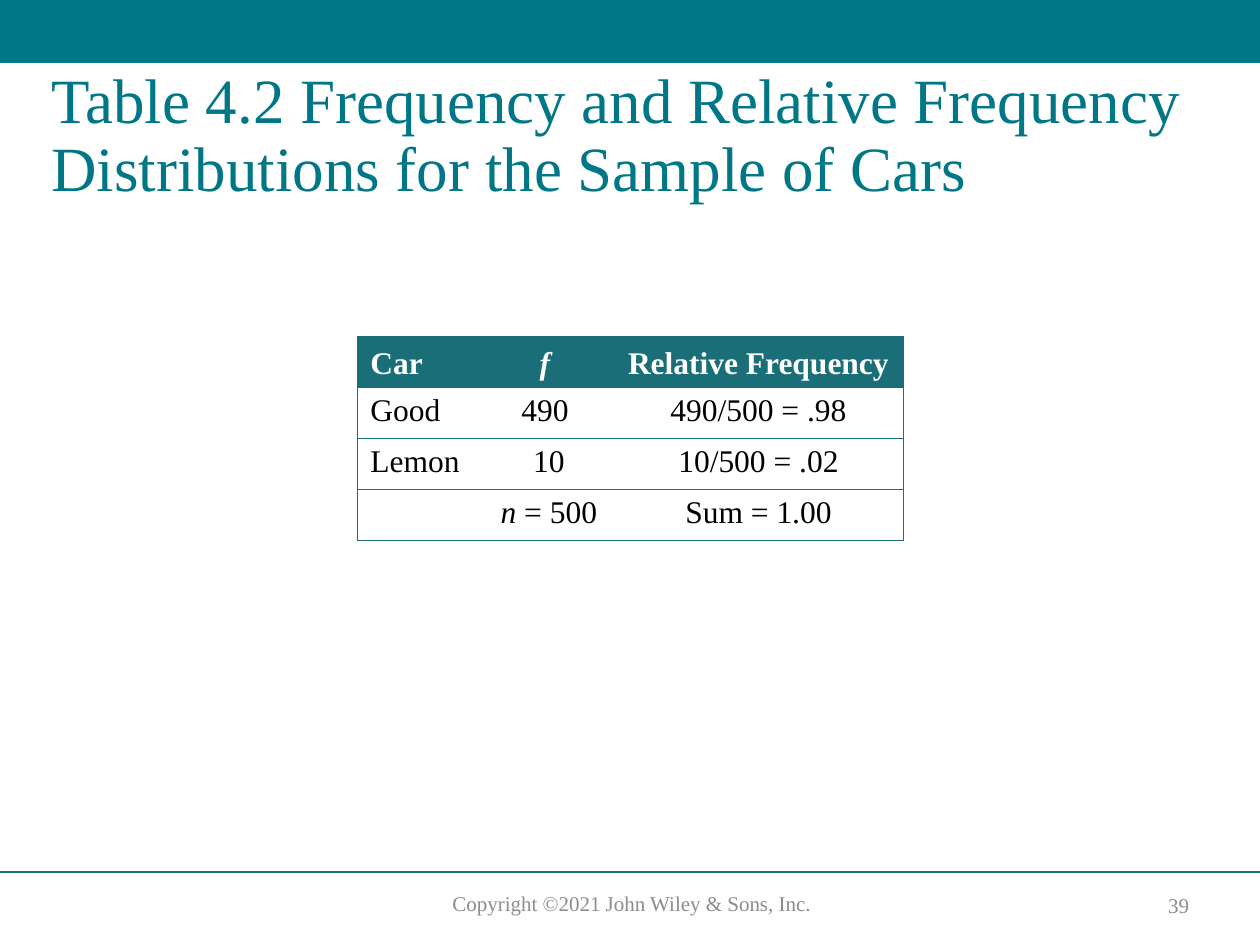
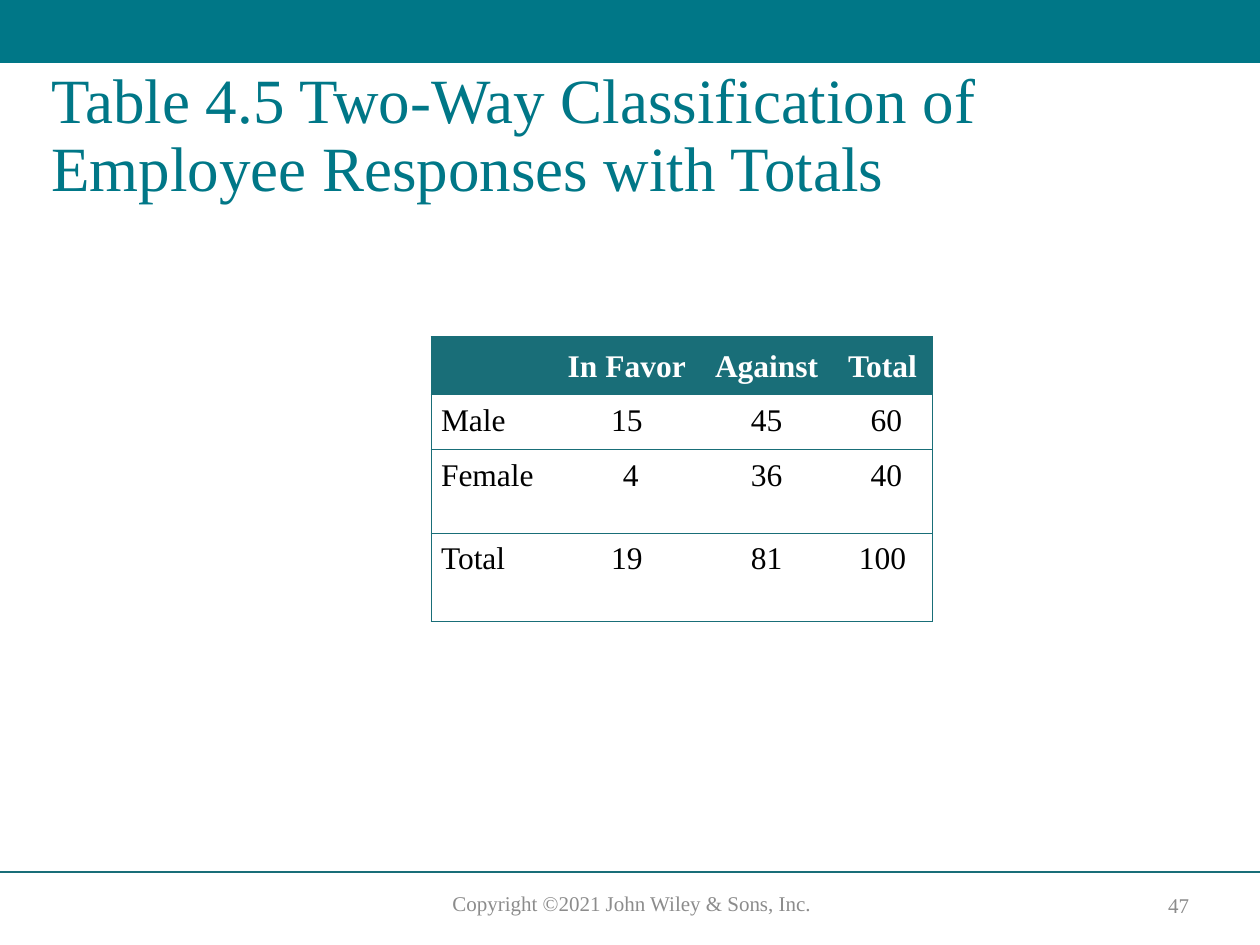
from dataclasses import dataclass

from lxml import etree
from pptx import Presentation
from pptx.dml.color import RGBColor
from pptx.enum.shapes import MSO_CONNECTOR, MSO_SHAPE
from pptx.enum.text import MSO_ANCHOR, PP_ALIGN
from pptx.oxml.ns import qn
from pptx.util import Inches, Pt

LEFT, CENTER = PP_ALIGN.LEFT, PP_ALIGN.CENTER
TOP, MIDDLE, BOTTOM = MSO_ANCHOR.TOP, MSO_ANCHOR.MIDDLE, MSO_ANCHOR.BOTTOM
RECTANGLE, STRAIGHT = MSO_SHAPE.RECTANGLE, MSO_CONNECTOR.STRAIGHT

WIDTH, HEIGHT = 10, 7.5
COPYRIGHT = "Copyright ©2021 John Wiley & Sons, Inc."
ITALIC = {"f", " n "}

SLIDES = [
    {
        "number": "39",
        "title": "Table 4.2 Frequency and Relative Frequency Distributions for the Sample of Cars",
        "left": 2.84,
        "columns": [0.94, 1.09, 2.3],
        "rows": [1.62 / 4] * 4,
        "insets": {"side": 0.1, "header": 0.05, "body": 0.05},
        "cells": [
            ["Car", "f", "Relative Frequency"],
            ["Good", "490", "490/500 = .98"],
            ["Lemon", " 10", "10/500 = .02"],
            ["", (" n ", "= 500"), "Sum = 1.00"],
        ],
    },
    {
        "number": "47",
        "title": "Table 4.5 Two-Way Classification of Employee Responses with Totals",
        "left": 3.42,
        "columns": [0.97, 1.17, 1.05, 0.79],
        "rows": [0.42, 0.39, 0.66, 0.7],
        "insets": {"side": 0.08, "header": 0.08, "body": 0.07},
        "cells": [
            ["", "In Favor", "Against", "Total"],
            ["Male", "15", "45", " 60"],
            ["Female", " 4", "36", " 40"],
            ["Total", "19", "81", "100"],
        ],
    },
]


@dataclass(frozen=True)
class Theme:
    font: str = "Times New Roman"
    band: str = "007787"
    rule: str = "196E78"
    muted: str = "8C8C8C"
    ink: str = "000000"
    paper: str = "FFFFFF"
    title_size: int = 36
    table_size: int = 18
    footer_size: int = 12
    rule_width: float = 1
    border_width: float = 0.5


THEME = Theme()


def rgb(value):
    return RGBColor.from_string(value)


def write(para, content, size, color, align=LEFT, bold=False):
    para.alignment = align
    font = para.font
    font.name, font.size, font.bold = THEME.font, Pt(size), bold
    font.color.rgb = rgb(color)
    for text in content if isinstance(content, tuple) else (content,):
        if text:
            span = para.add_run()
            span.text = text
            if text in ITALIC:
                span.font.italic = True


def add_text(page, place, text, size, color, align=LEFT, anchor=TOP):
    box = page.shapes.add_textbox(*map(Inches, place))
    frame = box.text_frame
    frame.word_wrap = True
    frame.vertical_anchor = anchor
    para = frame.paragraphs[0]
    write(para, text, size, color, align)
    return para


def add_frame(page, title, number):
    band = page.shapes.add_shape(RECTANGLE, 0, 0, Inches(WIDTH), Inches(HEIGHT / 15))
    band.shadow.inherit = False
    band.fill.solid()
    band.fill.fore_color.rgb = rgb(THEME.band)
    band.line.fill.background()

    level = Inches(6.92)
    rule = page.shapes.add_connector(STRAIGHT, 0, level, Inches(WIDTH), level)
    rule.line.color.rgb = rgb(THEME.rule)
    rule.line.width = Pt(THEME.rule_width)
    etree.SubElement(rule._element.spPr, qn("a:effectLst"))

    footer = (THEME.footer_size, THEME.muted, CENTER)
    add_text(page, (3.22, 7.02, 3.59, 0.3), COPYRIGHT, *footer)
    add_text(page, (9.05, 7.04, 0.61, 0.28), number, *footer, MIDDLE)
    heading = add_text(page, (0.31, 0.5, 9.33, 1.25), title, THEME.title_size, THEME.band)
    heading.line_spacing = 0.9


def set_borders(cell, visible):
    properties = cell._tc.get_or_add_tcPr()
    for side in "LRTB":
        line = etree.SubElement(properties, qn(f"a:ln{side}"), w=str(Pt(THEME.border_width)))
        if side in visible:
            fill = etree.SubElement(line, qn("a:solidFill"))
            etree.SubElement(fill, qn("a:srgbClr"), val=THEME.rule)
        else:
            etree.SubElement(line, qn("a:noFill"))


def fill_cell(cell, content, row, column, last_column, insets):
    header = row == 0
    visible = "TB" + "L" * (column == 0) + "R" * (column == last_column)
    set_borders(cell, visible)
    cell.fill.solid()
    cell.fill.fore_color.rgb = rgb(THEME.rule if header else THEME.paper)
    cell.vertical_anchor = BOTTOM if header else TOP
    cell.margin_left = cell.margin_right = Inches(insets["side"])
    cell.margin_top = cell.margin_bottom = Inches(insets["header" if header else "body"])
    para = cell.text_frame.paragraphs[0]
    para.space_after = Pt(0 if header else 3)
    color = THEME.paper if header else THEME.ink
    write(para, content, THEME.table_size, color, CENTER if column else LEFT, header)


def add_data_table(page, data):
    columns, rows = data["columns"], data["rows"]
    place = map(Inches, (data["left"], 2.67, sum(columns), sum(rows)))
    table = page.shapes.add_table(len(rows), len(columns), *place).table
    table.first_row = table.horz_banding = False
    for column, width in zip(table.columns, columns):
        column.width = Inches(width)
    for row, height in zip(table.rows, rows):
        row.height = Inches(height)
    for row, contents in enumerate(data["cells"]):
        for column, content in enumerate(contents):
            cell = table.cell(row, column)
            fill_cell(cell, content, row, column, len(columns) - 1, data["insets"])


def main():
    deck = Presentation()
    deck.slide_width, deck.slide_height = Inches(WIDTH), Inches(HEIGHT)
    for data in SLIDES:
        page = deck.slides.add_slide(deck.slide_layouts[6])
        add_frame(page, data["title"], data["number"])
        add_data_table(page, data)
    deck.save("out.pptx")


if __name__ == "__main__":
    main()
